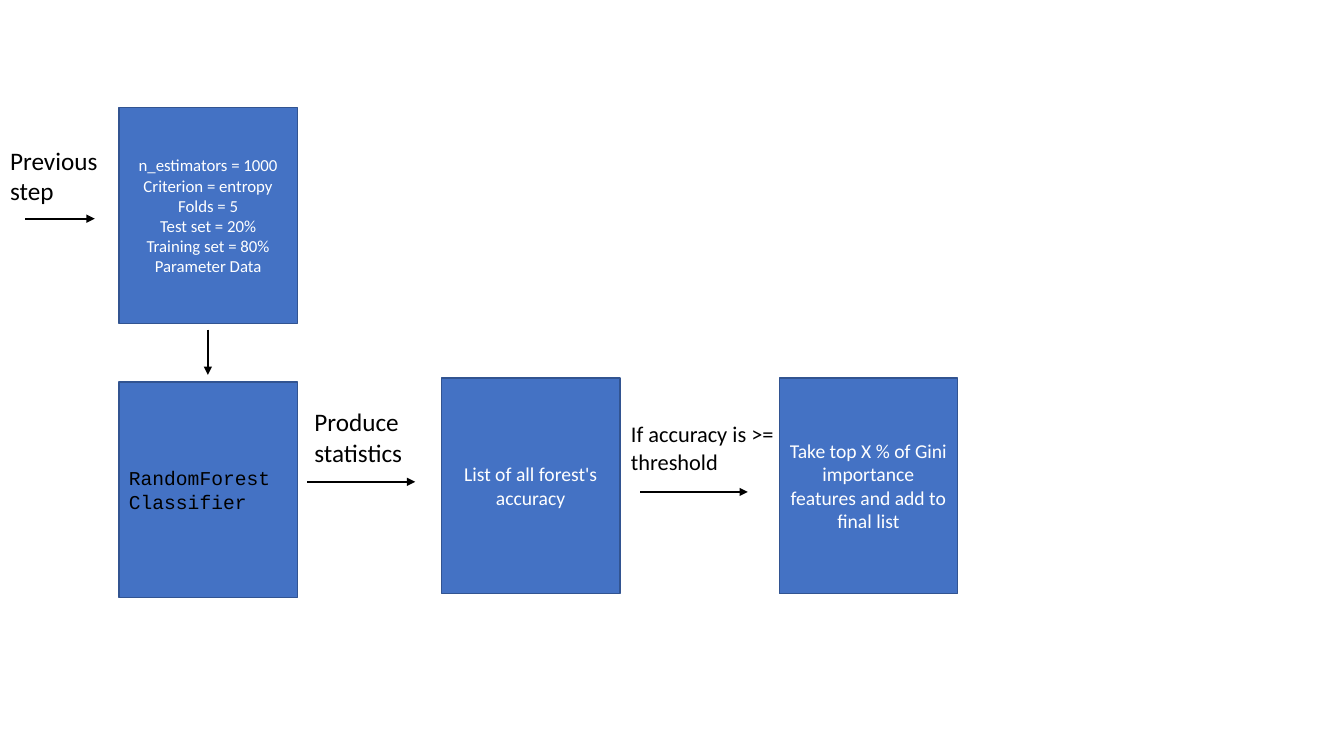
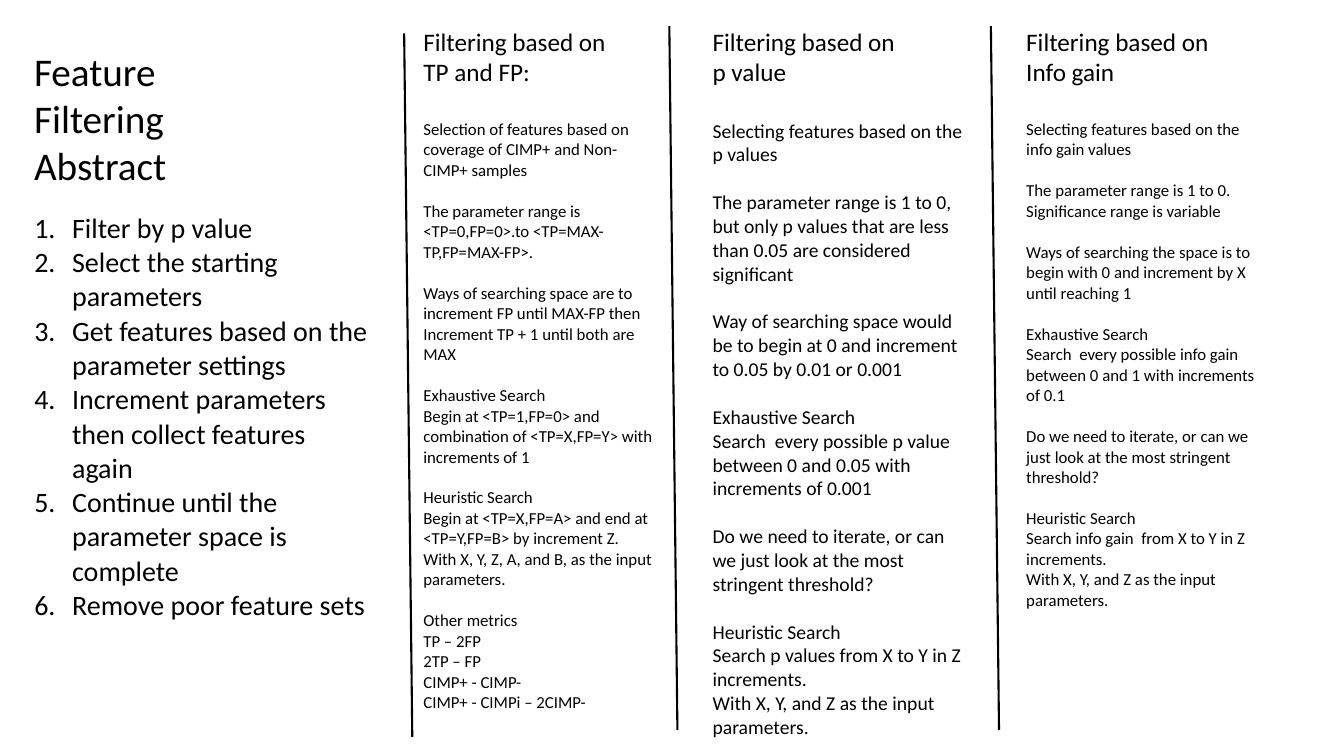
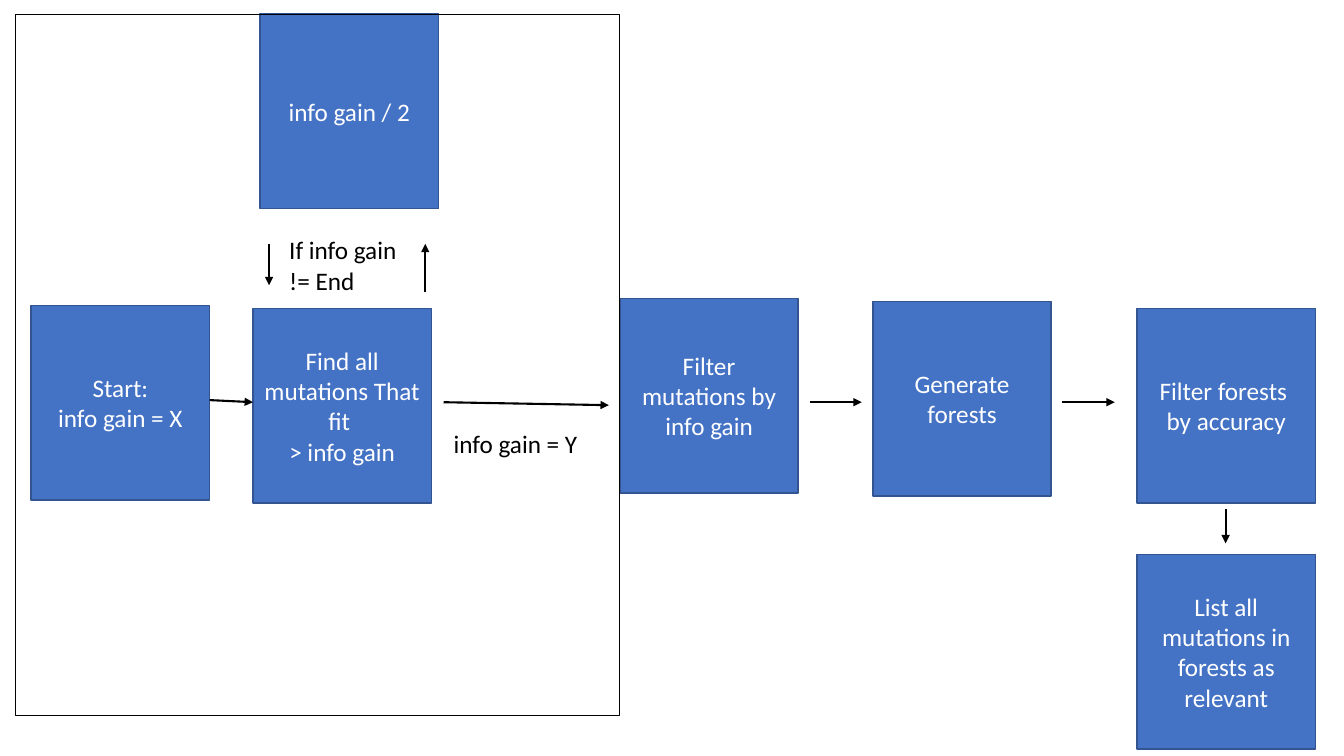
from lxml.etree import SubElement
from pptx import Presentation
from pptx.dml.color import RGBColor
from pptx.enum.shapes import MSO_CONNECTOR, MSO_SHAPE
from pptx.enum.text import MSO_ANCHOR, MSO_AUTO_SIZE, PP_ALIGN
from pptx.oxml.ns import qn
from pptx.util import Pt

BLUE, EDGE, BLACK, WHITE = "4472C4", "325491", "000000", "FFFFFF"
FONT, CODE_FONT = "Calibri", "Courier New"
LINE_SPACING = 1.22
NODE_W = 127.4
TALL, SHORT = 154, 139
PLAIN_TABLE = "{2D5ABB26-0587-4C30-8999-92F81FD0307C}"


def rgb(color):
    return RGBColor.from_string(color)


def write(tf, lines, size, color=BLACK, font=FONT, align=PP_ALIGN.LEFT, gap=0):
    for i, line in enumerate(lines):
        p = tf.add_paragraph() if tf.text else tf.paragraphs[0]
        p.alignment = align
        if gap and i == 0:
            p.space_before = Pt(gap)
        for j, text in enumerate(line.split("\n")):
            if j:
                p.add_line_break()
            r = p.add_run()
            r.text = text
            r.font.size = Pt(size)
            r.font.name = font
            r.font.color.rgb = rgb(color)


def add_rect(slide, x, y, w, h, line, width, fill=None):
    sp = slide.shapes.add_shape(MSO_SHAPE.RECTANGLE, Pt(x), Pt(y), Pt(w), Pt(h))
    sp.shadow.inherit = False
    if fill:
        sp.fill.solid()
        sp.fill.fore_color.rgb = rgb(fill)
    else:
        sp.fill.background()
    sp.line.color.rgb = rgb(line)
    sp.line.width = Pt(width)
    return sp


def add_node(slide, x, y, h, lines, size, color=WHITE, font=FONT, align=PP_ALIGN.CENTER):
    tf = add_rect(slide, x, y, NODE_W, h, EDGE, 1, BLUE).text_frame
    tf.word_wrap = True
    tf.vertical_anchor = MSO_ANCHOR.MIDDLE
    write(tf, lines, size, color, font, align)


def add_cell(slide, x, y, w, h):
    table = slide.shapes.add_table(1, 1, Pt(x), Pt(y), Pt(w), Pt(h)).table
    table.first_row = False
    table.horz_banding = False
    table._tbl.tblPr[0].text = PLAIN_TABLE
    cell = table.cell(0, 0)
    cell.fill.background()
    return cell.text_frame


def add_label(slide, x, y, w, h, lines, size=18):
    write(add_cell(slide, x, y, w, h), lines, size)


def add_line(slide, x1, y1, x2, y2, arrow=True):
    line = slide.shapes.add_connector(
        MSO_CONNECTOR.STRAIGHT, Pt(x1), Pt(y1), Pt(x2), Pt(y2))
    line.line.color.rgb = rgb(BLACK)
    line.line.width = Pt(1.5)
    spPr = line._element.spPr
    if arrow:
        SubElement(spPr.find(qn("a:ln")), qn("a:tailEnd"), type="triangle")
    SubElement(spPr, qn("a:effectLst"))


def training_flow(slide, x, y):
    add_node(slide, x + 85, y + 195.9, TALL, ["RandomForest", "Classifier"], 14,
             BLACK, CODE_FONT, PP_ALIGN.LEFT)
    add_node(slide, x + 315.4, y + 193, TALL, ["List of all forest's accuracy"], 14)
    add_node(slide, x + 85, y, TALL, [
        "n_estimators = 1000", "Criterion = entropy", "Folds = 5",
        "Test set = 20%", "Training set = 80%", "Parameter Data"], 12)
    add_node(slide, x + 556.6, y + 193, TALL, [
        "Take top X % of Gini importance features and add to final list"], 14)
    for x1, y1, x2, y2 in [(219.6, 267.2, 296.6, 267.2), (148.5, 158.4, 148.5, 190.8),
                           (18, 79.2, 67.7, 79.2), (457.2, 274.4, 534.2, 274.4)]:
        add_line(slide, x + x1, y + y1, x + x2, y + y2)
    add_label(slide, x, y + 23.8, 90.7, 50.4, ["Previous step"])
    add_label(slide, x + 217.4, y + 210.3, 90.7, 50.4, ["Produce statistics"])
    add_label(slide, x + 443.5, y + 220.4, 127.4, 45.4, ["If accuracy is >= threshold"], 16)


def abstract(slide, x, y, steps):
    sp = slide.shapes.add_textbox(Pt(x), Pt(y), Pt(141), Pt(108.7))
    tf = sp.text_frame
    tf.word_wrap = True
    tf.auto_size = MSO_AUTO_SIZE.SHAPE_TO_FIT_TEXT
    write(tf, ["Feature Filtering", "Abstract"], 28)
    tf = add_cell(slide, x, y + 117.4, 252.7, 378.7)
    write(tf, steps, 20)
    for p in tf.paragraphs:
        pPr = p._p.get_or_add_pPr()
        pPr.set("marL", str(Pt(27)))
        pPr.set("indent", str(-Pt(27)))
        SubElement(pPr, qn("a:buFont"), typeface="+mj-lt")
        SubElement(pPr, qn("a:buAutoNum"), type="arabicPeriod")


def filter_column(slide, x, y, w, h, heading, groups, size):
    tf = add_cell(slide, x, y, w, h)
    write(tf, heading, 18)
    above = 18
    for group in groups:
        write(tf, group, size, gap=above * LINE_SPACING)
        above = size


def gain_loop(slide, x, y, w, h):
    add_node(slide, x + 11.5, y + 208.1, SHORT, ["Start:\ninfo gain = X"], 18)
    add_node(slide, x + 169.9, y + 210.2, SHORT,
             ["Find all mutations That fit ", "> info gain"], 18)
    add_node(slide, x + 175, y, SHORT, ["info gain / 2"], 18)
    add_label(slide, x + 188.6, y + 154.8, 134.6, 50.4, ["If info gain ", "!= End "])
    add_label(slide, x + 306, y + 293, 123.1, 29.5, ["info gain = Y"])
    for x1, y1, x2, y2 in [(293, 198.7, 293, 164.1), (139, 275.7, 169.9, 277.2),
                           (306, 277.2, 424.1, 279.3), (181.4, 164.1, 181.4, 193.7)]:
        add_line(slide, x + x1, y + y1, x + x2, y + y2)
    add_rect(slide, x, y, w, h, BLACK, 0.75)


def forest_chain(slide, x, y):
    for dx, dy, lines in [
            (0, 0, ["Filter mutations by info gain"]),
            (180.7, 2.2, ["Generate forests"]),
            (369.4, 7.2, ["Filter forests ", "by accuracy"]),
            (369.4, 182.9, ["List all mutations in forests as relevant"])]:
        add_node(slide, x + dx, y + dy, SHORT, lines, 18)
    for x1, y1, x2, y2 in [(136.1, 74.2, 172.8, 74.2), (316.1, 74.2, 353.5, 74.2),
                           (432.7, 150.5, 432.7, 175)]:
        add_line(slide, x + x1, y + y1, x + x2, y + y2)


STEPS = [
    "Filter by p value",
    "Select the starting parameters",
    "Get features based on the parameter settings",
    "Increment parameters then collect features again",
    "Continue until the parameter space is complete",
    "Remove poor feature sets",
]
ITERATE = ["Do we need to iterate, or can we just look at the most stringent threshold?"]
XYZ_INPUT = "With X, Y, and Z as the input parameters."
COVERAGE = [
    ["Selection of features based on coverage of CIMP+ and Non-CIMP+ samples"],
    ["The parameter range is <TP=0,FP=0>.to <TP=MAX-TP,FP=MAX-FP>."],
    ["Ways of searching space are to increment FP until MAX-FP then "
     "Increment TP + 1 until both are MAX"],
    ["Exhaustive Search ",
     "Begin at <TP=1,FP=0> and combination of <TP=X,FP=Y> with increments of 1"],
    ["Heuristic Search",
     "Begin at <TP=X,FP=A> and end at <TP=Y,FP=B> by increment Z.",
     "With X, Y, Z, A, and B, as the input parameters."],
    ["Other metrics", "TP – 2FP", "2TP – FP", "CIMP+ - CIMP-", "CIMP+ - CIMPi – 2CIMP-"],
]
P_VALUE = [
    ["Selecting features based on the p values"],
    ["The parameter range is 1 to 0, but only p values that are less than 0.05 "
     "are considered significant"],
    ["Way of searching space would be to begin at 0 and increment to 0.05 by 0.01 or 0.001"],
    ["Exhaustive Search ",
     "Search  every possible p value between 0 and 0.05 with increments of 0.001"],
    ITERATE,
    ["Heuristic Search", "Search p values from X to Y in Z increments.", XYZ_INPUT],
]
INFO_GAIN = [
    ["Selecting features based on the info gain values"],
    ["The parameter range is 1 to 0. Significance range is variable"],
    ["Ways of searching the space is to begin with 0 and increment by X until reaching 1"],
    ["Exhaustive Search ",
     "Search  every possible info gain between 0 and 1 with increments of 0.1"],
    ITERATE,
    ["Heuristic Search", "Search info gain  from X to Y in Z increments.", XYZ_INPUT],
]
COLUMNS = [
    (295.2, 181.4, ["Filtering based on ", "TP and FP:"], COVERAGE, 12),
    (501.8, 198.7, ["Filtering based on", "p value"], P_VALUE, 14),
    (725.8, 181.4, ["Filtering based on", "Info gain"], INFO_GAIN, 12),
]
DIVIDERS = [(288.7, 23.8), (478.1, 18.7), (707.8, 18.7)]

prs = Presentation()
prs.slide_width, prs.slide_height = Pt(960), Pt(540)
training, filtering, search = [
    prs.slides.add_slide(prs.slide_layouts[6]) for _ in range(3)]

training_flow(training, 0, 77)

for x, w, heading, groups, size in COLUMNS:
    filter_column(filtering, x, 15.8, w, 517.7, heading, groups, size)
for x, y in DIVIDERS:
    add_line(filtering, x, y, x + 5.8, y + 502.6, arrow=False)
abstract(filtering, 17.3, 30.2, STEPS)

forest_chain(search, 442.8, 213.1)
gain_loop(search, 10.8, 10.1, 432, 501)

prs.save("out.pptx")
